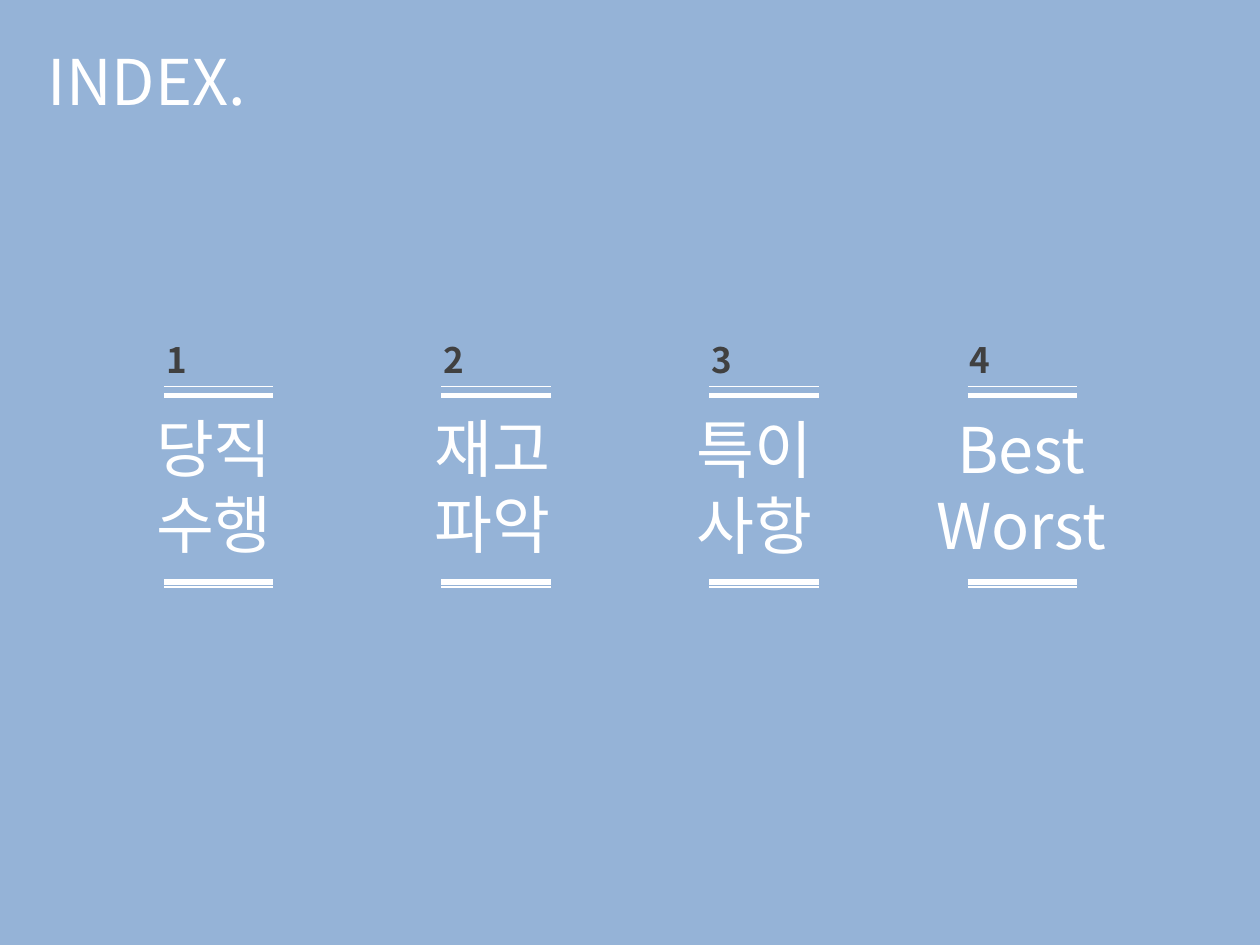
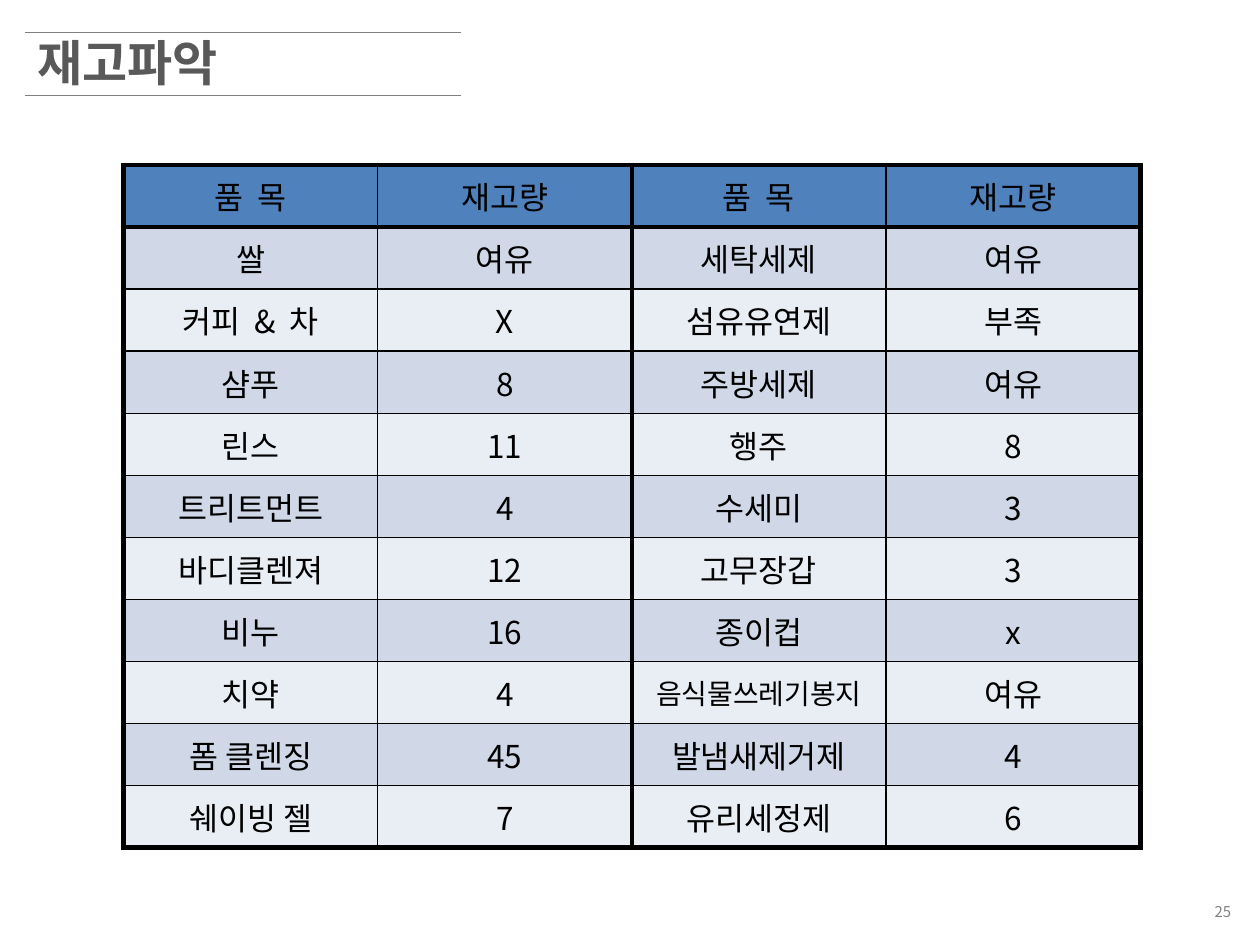
from dataclasses import dataclass

from lxml.etree import SubElement
from pptx import Presentation
from pptx.dml.color import RGBColor
from pptx.enum.shapes import MSO_CONNECTOR, MSO_SHAPE
from pptx.enum.text import MSO_ANCHOR, MSO_AUTO_SIZE, PP_ALIGN
from pptx.oxml.ns import qn
from pptx.util import Inches, Pt


@dataclass(frozen=True)
class Theme:
    """Colours, font and type sizes shared by the slides."""
    font: str = "Noto Sans CJK KR"
    sky: str = "95B3D7"
    white: str = "FFFFFF"
    dark: str = "404040"
    heading: str = "595959"
    grey: str = "808080"
    black: str = "000000"
    header_fill: str = "4F81BD"
    band_fills: tuple = ("E9EDF4", "D0D8E8")
    display_size: float = 36
    heading_size: float = 28
    number_size: float = 20
    table_size: float = 18
    small_table_size: float = 16
    page_size: float = 8.5
    leading: float = 1.2
    thin: float = 0.75
    grid: float = 1
    thick: float = 3


THEME = Theme()
TITLE_ONLY = 5
INDEX_ITEMS = [
    ("당직\n수행", 1.3, (1.14, 3.2, 1.26, 1.31), PP_ALIGN.LEFT),
    ("재고\n파악", 3.5, (3.35, 3.2, 1.26, 1.31), PP_ALIGN.LEFT),
    ("특이\n사항", 5.63, (5.43, 3.21, 1.26, 1.31), PP_ALIGN.LEFT),
    ("Best\vWorst", 7.68, (7.28, 3.21, 1.65, 1.31), PP_ALIGN.CENTER),
]
STOCK_ROWS = [
    ("품 목", "재고량", "품 목", "재고량"),
    ("쌀", "여유", "세탁세제", "여유"),
    ("커피 & 차", "X", "섬유유연제", "부족"),
    ("샴푸", "8", "주방세제", "여유"),
    ("린스", "11", "행주", "8"),
    ("트리트먼트", "4", "수세미", "3"),
    ("바디클렌져", "12", "고무장갑", "3"),
    ("비누", "16", "종이컵", "x"),
    ("치약", "4", "음식물쓰레기봉지", "여유"),
    ("폼 클렌징", "45", "발냄새제거제", "4"),
    ("쉐이빙 젤", "7", "유리세정제", "6"),
]
WIDE_SPACED = {"품 목", "커피 & 차"}
SMALL_ITEMS = {"음식물쓰레기봉지"}


def style_run(run, size, color, bold=False):
    """Give a run its font, size, weight and colour."""
    run.font.name = THEME.font
    run.font.size = Pt(size)
    run.font.bold = bold
    run.font.color.rgb = RGBColor.from_string(color)
    SubElement(run.font._element, qn("a:ea"), typeface=THEME.font)


def fill_text(shape, box, text, size, color, bold=False,
              align=PP_ALIGN.LEFT, anchor=MSO_ANCHOR.TOP):
    """Place a text shape in its box and set its formatted text."""
    shape.left, shape.top, shape.width, shape.height = map(Inches, box)
    frame = shape.text_frame
    frame.word_wrap = True
    frame.auto_size = MSO_AUTO_SIZE.NONE
    frame.vertical_anchor = anchor
    frame.text = text
    for paragraph in frame.paragraphs:
        paragraph.alignment = align
        paragraph.line_spacing = Pt(size * THEME.leading)
        for run in paragraph.runs:
            style_run(run, size, color, bold)


def add_text(slide, box, *args, **options):
    """Add a text box formatted by fill_text."""
    shape = slide.shapes.add_textbox(*map(Inches, box))
    fill_text(shape, box, *args, **options)


def add_rule(slide, left, top, width, color, weight):
    """Draw a horizontal line without a shadow."""
    rule = slide.shapes.add_connector(
        MSO_CONNECTOR.STRAIGHT, Inches(left), Inches(top),
        Inches(left + width), Inches(top))
    rule.line.color.rgb = RGBColor.from_string(color)
    rule.line.width = Pt(weight)
    SubElement(rule._element.spPr, qn("a:effectLst"))


def add_backdrop(presentation, slide):
    """Cover the slide with the sky colour behind everything else."""
    backdrop = slide.shapes.add_shape(
        MSO_SHAPE.RECTANGLE, 0, 0,
        presentation.slide_width, presentation.slide_height)
    backdrop.shadow.inherit = False
    backdrop.fill.solid()
    backdrop.fill.fore_color.rgb = RGBColor.from_string(THEME.sky)
    backdrop.line.fill.background()
    slide.shapes._spTree.insert(2, backdrop._element)


def add_index_item(slide, number, label, left, label_box, align):
    """Add one numbered entry framed by double rules."""
    for top, weight in ((3.07, THEME.thin), (3.14, THEME.thick),
                        (4.62, THEME.thick), (4.66, THEME.thin)):
        add_rule(slide, left, top, 0.87, THEME.white, weight)
    add_text(slide, (left - 0.08, 2.64, 1.26, 0.44), str(number),
             THEME.number_size, THEME.dark, bold=True)
    add_text(slide, label_box, label, THEME.display_size, THEME.white, align=align)


def build_index_slide(presentation):
    """Build the index slide with its four entries."""
    slide = presentation.slides.add_slide(presentation.slide_layouts[TITLE_ONLY])
    add_backdrop(presentation, slide)
    fill_text(slide.shapes.title, (0.28, 0.29, 3.39, 0.71), "INDEX.",
              THEME.display_size, THEME.white)
    for number, item in enumerate(INDEX_ITEMS, start=1):
        add_index_item(slide, number, *item)


def set_borders(cell, weights):
    """Draw solid black borders for the given side tags and weights."""
    properties = cell._tc.get_or_add_tcPr()
    for side, weight in weights.items():
        line = SubElement(properties, qn(f"a:{side}"), w=str(Pt(weight)))
        fill = SubElement(line, qn("a:solidFill"))
        SubElement(fill, qn("a:srgbClr"), val=THEME.black)


def fill_cell(cell, text, fill):
    """Write centred text into a filled cell, widening spaces where needed."""
    cell.fill.solid()
    cell.fill.fore_color.rgb = RGBColor.from_string(fill)
    cell.vertical_anchor = MSO_ANCHOR.MIDDLE
    paragraph = cell.text_frame.paragraphs[0]
    paragraph.alignment = PP_ALIGN.CENTER
    size = THEME.small_table_size if text in SMALL_ITEMS else THEME.table_size
    for position, word in enumerate(text.split(" ")):
        for piece in ([" ", word] if position else [word]):
            run = paragraph.add_run()
            run.text = piece
            style_run(run, size, THEME.black)
            if piece == " " and text in WIDE_SPACED:
                run.font._element.set("spc", "400")


def add_stock_table(slide, left, top, width, height):
    """Add the stock table with heavy lines around header and halves."""
    row_count, column_count = len(STOCK_ROWS), len(STOCK_ROWS[0])
    table = slide.shapes.add_table(
        row_count, column_count, Inches(left), Inches(top),
        Inches(width), Inches(height)).table
    for row_index, values in enumerate(STOCK_ROWS):
        fill = THEME.band_fills[row_index % 2] if row_index else THEME.header_fill
        for column_index, text in enumerate(values):
            cell = table.cell(row_index, column_index)
            heavy = {
                "lnL": column_index % 2 == 0,
                "lnR": column_index % 2 == 1,
                "lnT": row_index < 2,
                "lnB": row_index in (0, row_count - 1),
            }
            set_borders(cell, {side: THEME.thick if is_heavy else THEME.grid
                               for side, is_heavy in heavy.items()})
            fill_cell(cell, text, fill)


def build_stock_slide(presentation):
    """Build the stock slide with ruled heading, table and page number."""
    slide = presentation.slides.add_slide(presentation.slide_layouts[TITLE_ONLY])
    fill_text(slide.shapes.title, (0.2, 0.21, 4.49, 0.57), "재고파악",
              THEME.heading_size, THEME.heading, bold=True)
    for top in (0.26, 0.76):
        add_rule(slide, 0.2, top, 3.46, THEME.grey, THEME.thin)
    add_stock_table(slide, 0.98, 1.31, 8.07, 5.42)
    add_text(slide, (7.76, 7.1, 2.11, 0.27), "25", THEME.page_size, THEME.grey,
             align=PP_ALIGN.RIGHT, anchor=MSO_ANCHOR.MIDDLE)


def main():
    """Build and save the presentation."""
    presentation = Presentation()
    presentation.slide_width = Inches(10)
    presentation.slide_height = Inches(7.5)
    build_index_slide(presentation)
    build_stock_slide(presentation)
    presentation.save("out.pptx")


if __name__ == "__main__":
    main()
